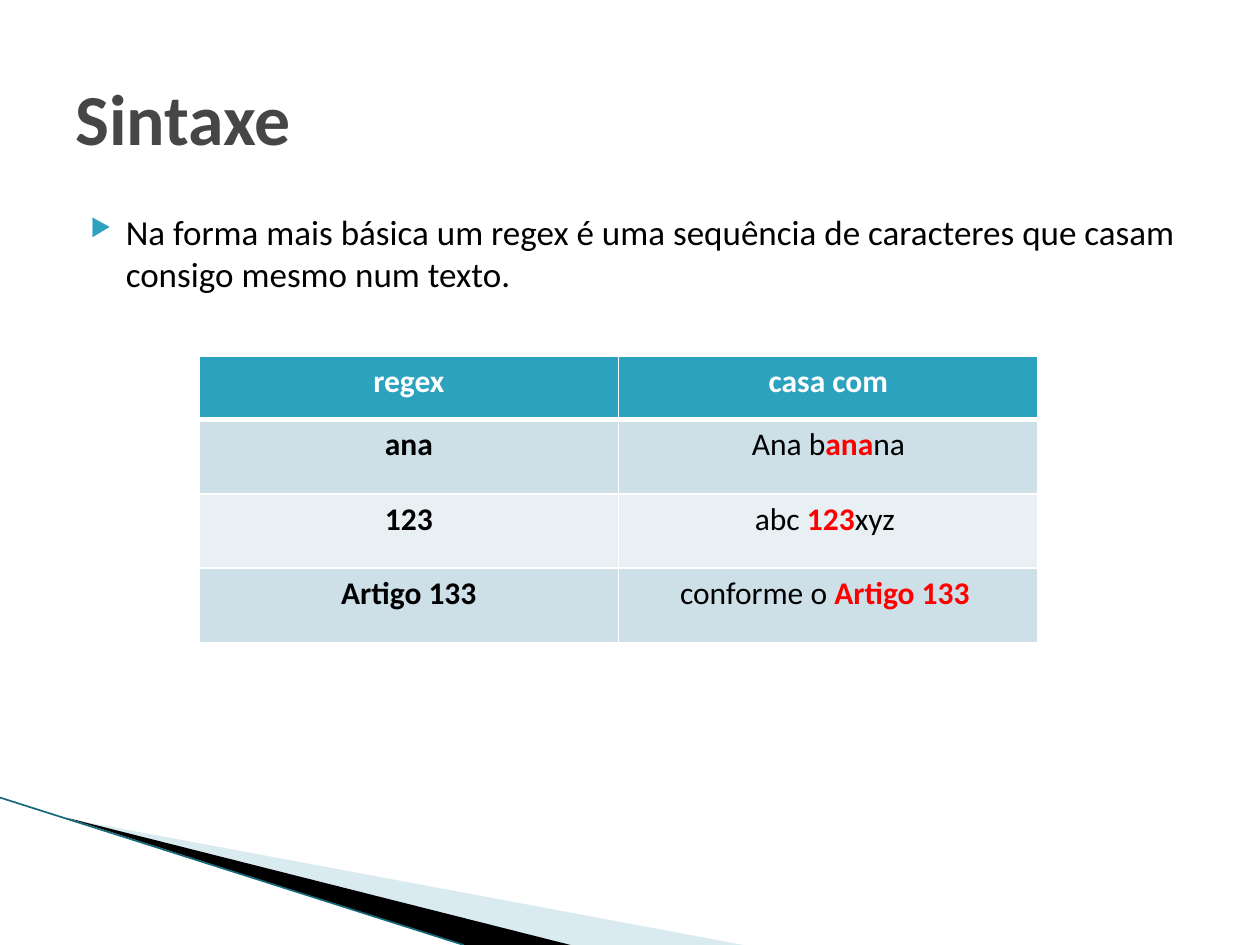
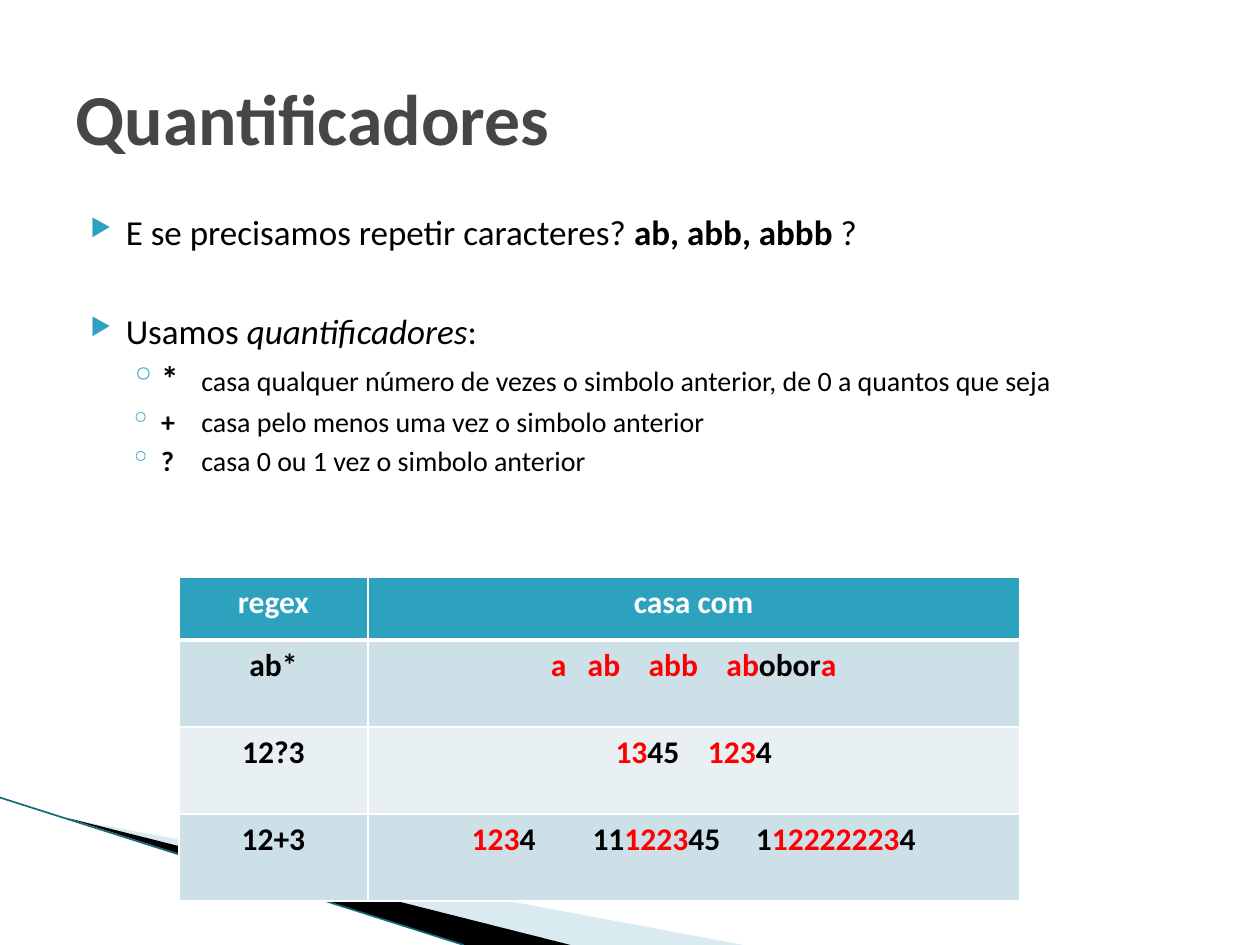
from lxml import etree
from pptx import Presentation
from pptx.dml.color import RGBColor
from pptx.enum.shapes import MSO_CONNECTOR
from pptx.enum.text import MSO_ANCHOR, PP_ALIGN
from pptx.oxml.ns import qn
from pptx.util import Inches, Pt

CENTER = PP_ALIGN.CENTER
MIDDLE = MSO_ANCHOR.MIDDLE
STRAIGHT = MSO_CONNECTOR.STRAIGHT

WHITE = RGBColor(0xFF, 0xFF, 0xFF)
BLACK = RGBColor(0, 0, 0)
RED = RGBColor(0xFF, 0, 0)
GRAY = RGBColor(0x46, 0x46, 0x46)
TEAL = RGBColor(0x2D, 0xA2, 0xBF)
DARK_TEAL = RGBColor(0x16, 0x69, 0x7A)
PALE_BLUE = RGBColor(0xA0, 0xCB, 0xDC)
ROW_FILLS = (RGBColor(0xCD, 0xE0, 0xE8), RGBColor(0xE8, 0xF0, 0xF4))

FONT = "Calibri"
SPACE_WIDTH = 0.226  # width of a space, as a share of the font size

# Run styles
PLAIN = {}
BOLD = {"bold": True}
ITALIC = {"italic": True}
HEADER = {"bold": True, "color": WHITE}
MATCH = {"bold": True, "color": RED}

# Boxes: left, top, width, height
TITLE_BOX = (Inches(0.5), Inches(0.3), Inches(9), Inches(1.25))
BODY_BOX = (Inches(0.5), Inches(1.62), Inches(9), Inches(4.95))

# Bullet levels: character, size in percent, left indent, hanging indent
BULLETS = (("▶", 68, Inches(0.4), Inches(0.28)),
           ("◦", 100, Inches(0.68), Inches(0.25)))


def sub_element(parent, tag, **attributes):
    element = etree.SubElement(parent, qn(tag))
    for name, value in attributes.items():
        element.set(name, str(value))
    return element


def add_run(paragraph, text, size, color=BLACK, bold=False, italic=False):
    run = paragraph.add_run()
    run.text = text
    run.font.name = FONT
    run.font.size = Pt(size)
    run.font.color.rgb = color
    run.font.bold = bold
    run.font.italic = italic
    return run


def add_gap(paragraph, spaces, size):
    """One space, widened by letter spacing to the width of several."""
    run = add_run(paragraph, " ", size, bold=True)
    extra = round((spaces - 1) * SPACE_WIDTH * size * 100)
    run._r.get_or_add_rPr().set("spc", str(extra))


def add_text_box(slide, box):
    frame = slide.shapes.add_textbox(*box).text_frame
    frame.word_wrap = True
    return frame


def add_wedge(slide, box, points, color, opacity=100):
    """Filled outline; points are hundredths of an inch inside the box."""
    left, top = box
    builder = slide.shapes.build_freeform(*points[0], scale=Inches(0.01))
    builder.add_line_segments(points[1:], close=True)
    shape = builder.convert_to_shape(left, top)
    shape.shadow.inherit = False
    shape.line.fill.background()
    shape.fill.solid()
    shape.fill.fore_color.rgb = color
    if opacity < 100:
        color_element = shape._element.spPr.find(".//" + qn("a:srgbClr"))
        sub_element(color_element, "a:alpha", val=opacity * 1000)


def add_corner(slide, left, top):
    """Wedges and edge line in the bottom left corner."""
    add_wedge(slide, (left, top), ((55, 17), (590, 117), (452, 117)), PALE_BLUE, 40)
    add_wedge(slide, (left, top), ((53, 16), (453, 117), (368, 117)), BLACK)
    line = slide.shapes.add_connector(
        STRAIGHT, left, top, left + Inches(3.68), top + Inches(1.17))
    line.line.color.rgb = DARK_TEAL
    line.line.width = Pt(0.95)
    sub_element(line._element.spPr, "a:effectLst")


def add_title(slide, box, text):
    frame = add_text_box(slide, box)
    frame.vertical_anchor = MIDDLE
    add_run(frame.paragraphs[0], text, 41, GRAY, bold=True)


def add_body(slide, box, items):
    """Bulleted list; each item is level, space before, runs."""
    frame = add_text_box(slide, box)
    for index, (level, space_before, runs) in enumerate(items):
        paragraph = frame.add_paragraph() if index else frame.paragraphs[0]
        paragraph.level = level
        paragraph.space_before = Pt(space_before)
        character, percent, indent, hanging = BULLETS[level]
        properties = paragraph._p.get_or_add_pPr()
        properties.set("marL", str(indent))
        properties.set("indent", str(-hanging))
        bullet_color = sub_element(properties, "a:buClr")
        sub_element(bullet_color, "a:srgbClr", val=TEAL)
        sub_element(properties, "a:buSzPct", val=percent * 1000)
        sub_element(properties, "a:buChar", char=character)
        for text, size, style in runs:
            add_run(paragraph, text, size, **style)


def set_borders(cell, top, bottom):
    """White borders; top and bottom widths in points, sides 1 point."""
    properties = cell._tc.get_or_add_tcPr()
    for side, width in (("L", 1), ("R", 1), ("T", top), ("B", bottom)):
        border = sub_element(properties, "a:ln" + side, w=Pt(width))
        sub_element(sub_element(border, "a:solidFill"), "a:srgbClr", val=WHITE)


def add_regex_table(slide, left, top, column_widths, row_height, examples):
    """Patterns on the left, matching text on the right."""
    header = (("regex", HEADER),), (("casa com", HEADER),)
    rows = [header] + [(((pattern, BOLD),), runs) for pattern, runs in examples]
    heights = [Inches(0.5)] + [row_height] * len(examples)
    table = slide.shapes.add_table(
        len(rows), len(column_widths), left, top,
        sum(column_widths), sum(heights)).table
    for column, width in zip(table.columns, column_widths):
        column.width = width
    for row_index, row in enumerate(rows):
        table.rows[row_index].height = heights[row_index]
        for column_index, runs in enumerate(row):
            cell = table.cell(row_index, column_index)
            set_borders(cell, 3 if row_index == 1 else 1, 3 if row_index == 0 else 1)
            cell.fill.solid()
            cell.fill.fore_color.rgb = ROW_FILLS[(row_index - 1) % 2] if row_index else TEAL
            paragraph = cell.text_frame.paragraphs[0]
            paragraph.alignment = CENTER
            for content, style in runs:
                if isinstance(content, int):
                    add_gap(paragraph, content, 18)
                else:
                    add_run(paragraph, content, 18, **style)


def add_content_slide(presentation, title, items):
    slide = presentation.slides.add_slide(presentation.slide_layouts[6])
    add_corner(slide, 0, Inches(6.33))
    add_body(slide, BODY_BOX, items)
    add_title(slide, TITLE_BOX, title)
    return slide


presentation = Presentation()
presentation.slide_width = Inches(10)
presentation.slide_height = Inches(7.5)

# Syntax
slide = add_content_slide(presentation, "Sintaxe", [
    (0, 4, [("Na forma mais básica um regex é uma sequência de caracteres "
             "que casam consigo mesmo num texto.", 20, PLAIN)]),
])
add_regex_table(
    slide, Inches(1.58), Inches(2.83), [Inches(3.33)] * 2, Inches(0.59), [
        ("ana", [("Ana b", PLAIN), ("ana", MATCH), ("na", PLAIN)]),
        ("123", [("abc ", PLAIN), ("123", MATCH), ("xyz ", PLAIN)]),
        ("Artigo 133", [("conforme o ", PLAIN), ("Artigo 133 ", MATCH)]),
    ])

# Quantifiers
slide = add_content_slide(presentation, "Quantificadores", [
    (0, 4, [("E se precisamos repetir caracteres? ", 20, PLAIN),
            ("ab, abb, abbb", 20, BOLD), (" ?", 20, PLAIN)]),
    (0, 32.4, [("Usamos ", 20, PLAIN), ("quantificadores", 20, ITALIC),
               (":", 20, PLAIN)]),
    (1, 3.2, [("*", 20, BOLD), (" \t", 16, BOLD),
              ("casa qualquer número de vezes o simbolo anterior, "
               "de 0 a quantos que seja", 16, PLAIN)]),
    (1, 3.2, [("+ \t", 16, BOLD),
              ("casa pelo menos uma vez o simbolo anterior", 16, PLAIN)]),
    (1, 3.2, [("?", 16, BOLD),
              (" \tcasa 0 ou 1 vez o simbolo anterior", 16, PLAIN)]),
])
add_regex_table(
    slide, Inches(1.42), Inches(4.58), [Inches(1.5), Inches(5.17)], Inches(0.69), [
        ("ab*", [("a", MATCH), (3, BOLD), ("ab", MATCH), (4, BOLD),
                 ("abb", MATCH), (4, BOLD), ("ab", MATCH),
                 ("obor", BOLD), ("a", MATCH)]),
        ("12?3", [("13", MATCH), ("45", BOLD), (4, BOLD),
                  ("123", MATCH), ("4", BOLD)]),
        ("12+3", [("123", MATCH), ("4", BOLD), (8, BOLD),
                  ("11", BOLD), ("1223", MATCH), ("45", BOLD), (5, BOLD),
                  ("1", BOLD), ("12222223", MATCH), ("4", BOLD)]),
    ])

presentation.save("out.pptx")
